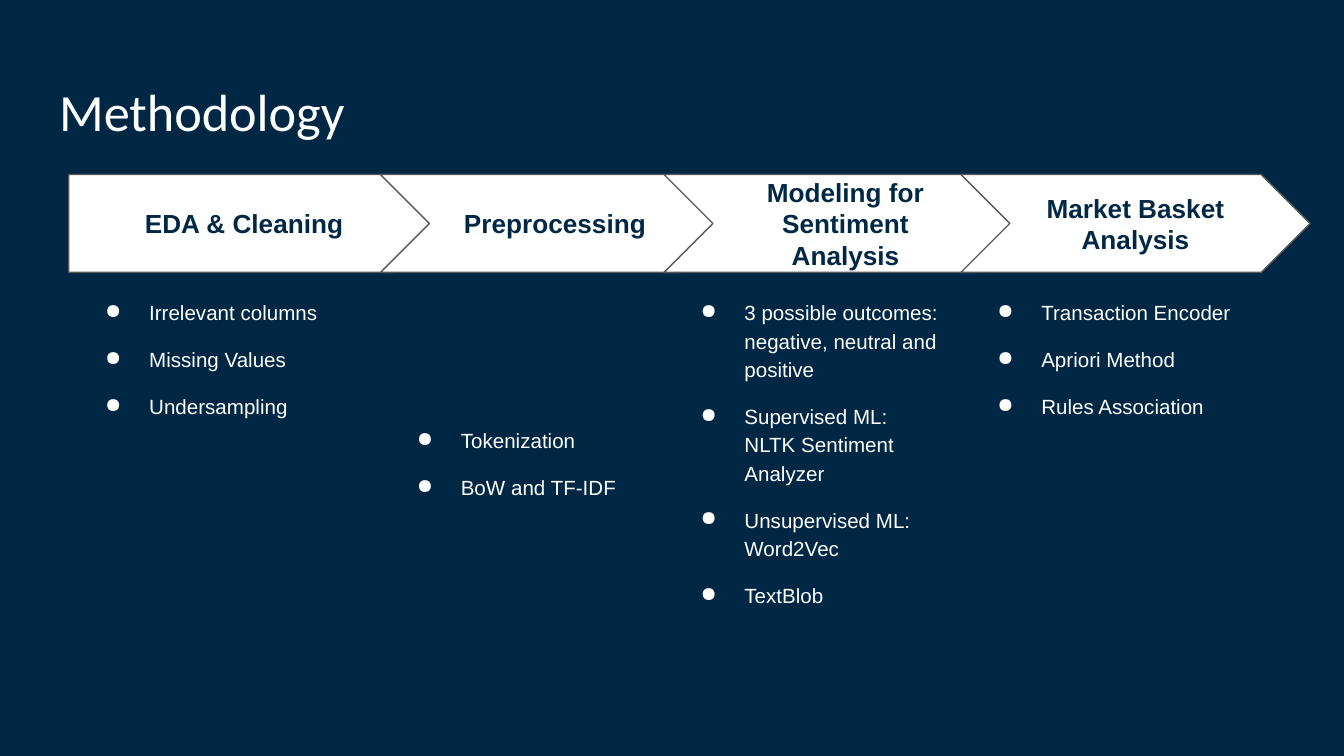
from dataclasses import dataclass

from lxml.etree import SubElement
from pptx import Presentation
from pptx.dml.color import RGBColor
from pptx.enum.shapes import MSO_SHAPE as Preset
from pptx.enum.text import MSO_ANCHOR as Anchor, PP_ALIGN as Align
from pptx.oxml.ns import qn
from pptx.util import Cm, Pt


@dataclass(frozen=True)
class Theme:
    navy: str = "002845"
    white: str = "FFFFFF"
    outline: str = "595959"
    title_font: str = "Calibri"
    body_font: str = "Arial"
    title_size: int = 28
    stage_size: int = 14
    bullet_size: int = 11


@dataclass(frozen=True)
class Stage:
    name: str
    left: float
    arrow_width: float
    text_width: float
    bullets: tuple
    preset: Preset = Preset.CHEVRON
    bullets_top: float = 5.36
    align: Align = Align.LEFT


STAGES = (
    Stage("EDA & Cleaning", 1.3, 7.09, 5.87,
          ("Irrelevant columns", "Missing Values", "Undersampling"),
          preset=Preset.PENTAGON, align=Align.JUSTIFY),
    Stage("Preprocessing", 7.19, 6.6, 5.36,
          ("Tokenization", "BoW and TF-IDF"), bullets_top=7.78),
    Stage("Modeling for Sentiment Analysis", 12.55, 6.86, 5.61,
          ("3 possible outcomes: negative, neutral and positive",
           "Supervised ML:\nNLTK Sentiment Analyzer",
           "Unsupervised ML: Word2Vec",
           "TextBlob")),
    Stage("Market Basket Analysis", 18.16, 6.6, 5.56,
          ("Transaction Encoder", "Apriori Method", "Rules Association"),
          align=Align.JUSTIFY),
)


class SlideBuilder:
    def __init__(self, slide, theme):
        self.slide = slide
        self.theme = theme
        self.paint(slide.background.fill, theme.navy)

    def paint(self, fill, color):
        fill.solid()
        fill.fore_color.rgb = RGBColor.from_string(color)

    def set_font(self, paragraph, name, size, color, bold=False):
        font = paragraph.font
        font.name, font.size, font.bold = name, Pt(size), bold
        font.color.rgb = RGBColor.from_string(color)

    def prepare_frame(self, shape, anchor):
        frame = shape.text_frame
        frame.word_wrap = True
        frame.vertical_anchor = anchor
        frame.margin_left = frame.margin_right = Cm(0.25)
        frame.margin_top = frame.margin_bottom = Cm(0.25)
        return frame

    def add_text_box(self, left, top, width, height):
        box = self.slide.shapes.add_textbox(Cm(left), Cm(top), Cm(width), Cm(height))
        return self.prepare_frame(box, Anchor.TOP)

    def add_title(self, text):
        paragraph = self.add_text_box(0.87, 1.24, 23.67, 1.6).paragraphs[0]
        paragraph.text = text
        self.set_font(paragraph, self.theme.title_font, self.theme.title_size, self.theme.white)

    def add_arrow(self, stage):
        shape = self.slide.shapes.add_shape(
            stage.preset, Cm(stage.left), Cm(3.3), Cm(stage.arrow_width), Cm(1.85))
        shape.shadow.inherit = False
        self.paint(shape.fill, self.theme.white)
        self.paint(shape.line.fill, self.theme.outline)
        shape.line.width = Pt(0.75)
        paragraph = self.prepare_frame(shape, Anchor.MIDDLE).paragraphs[0]
        paragraph.text = stage.name
        paragraph.alignment = Align.CENTER
        self.set_font(paragraph, self.theme.body_font, self.theme.stage_size,
                      self.theme.navy, bold=True)

    def add_bullets(self, stage):
        frame = self.add_text_box(stage.left, stage.bullets_top, stage.text_width,
                                  11.89 - stage.bullets_top)
        for index, text in enumerate(stage.bullets):
            paragraph = frame.add_paragraph() if index else frame.paragraphs[0]
            paragraph.text = text
            paragraph.alignment = stage.align
            paragraph.line_spacing = 1.15
            paragraph.space_before = Pt(10 if index else 0)
            self.add_bullet_mark(paragraph)
            self.set_font(paragraph, self.theme.body_font, self.theme.bullet_size,
                          self.theme.white)

    def add_bullet_mark(self, paragraph):
        properties = paragraph._p.get_or_add_pPr()
        properties.set("marL", str(Cm(1.27)))
        properties.set("indent", str(Cm(-0.83)))
        color = SubElement(properties, qn("a:buClr"))
        SubElement(color, qn("a:srgbClr"), val=self.theme.white)
        SubElement(properties, qn("a:buChar"), char="●")


def main():
    presentation = Presentation()
    presentation.slide_width, presentation.slide_height = Cm(25.4), Cm(14.29)
    slide = presentation.slides.add_slide(presentation.slide_layouts[6])
    builder = SlideBuilder(slide, Theme())
    builder.add_title("Methodology")
    for stage in STAGES:
        builder.add_arrow(stage)
        builder.add_bullets(stage)
    presentation.save("out.pptx")


if __name__ == "__main__":
    main()
